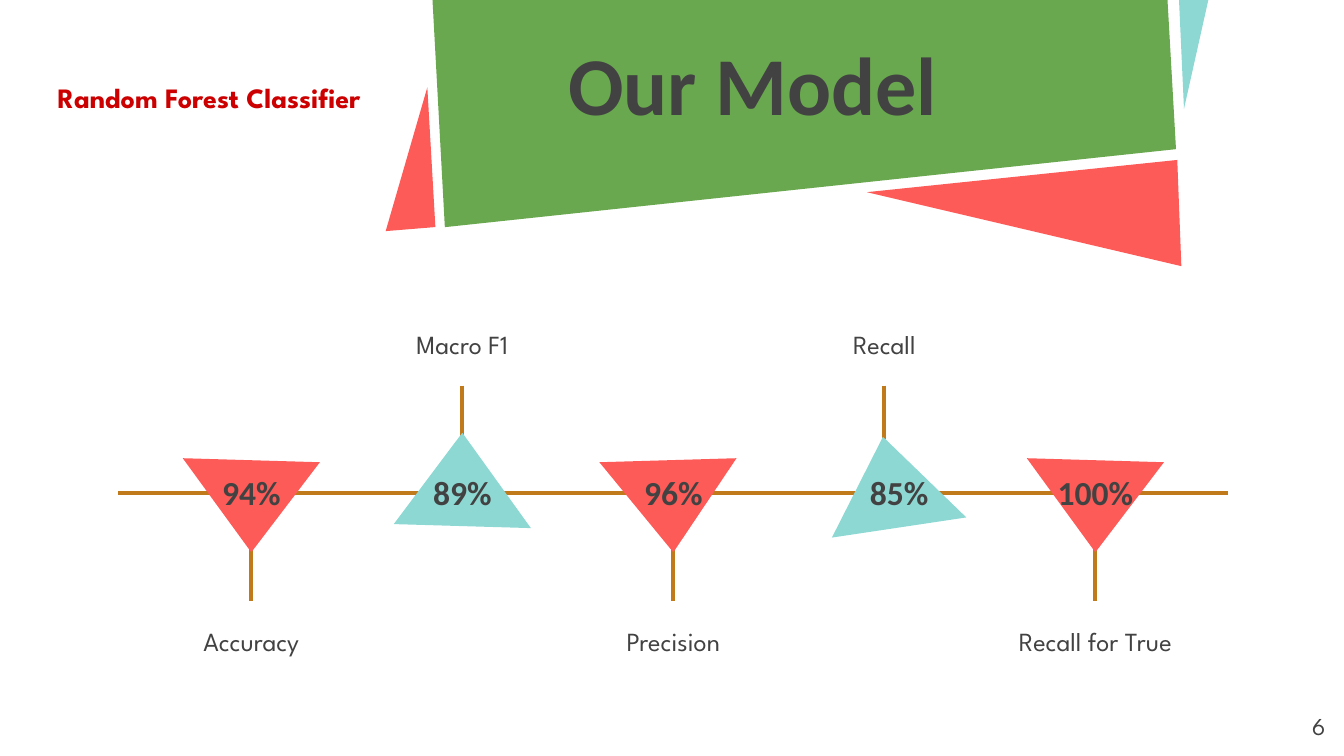
"""Build the 'Our Model' slide: a tilted title banner above a timeline of classifier scores."""
from lxml import etree
from pptx import Presentation
from pptx.dml.color import RGBColor
from pptx.enum.shapes import MSO_CONNECTOR as Conn
from pptx.enum.text import MSO_ANCHOR as Anchor, PP_ALIGN as Align
from pptx.oxml.ns import qn
from pptx.util import Inches, Pt

WIDTH = 10
HEIGHT = WIDTH * 9 / 16
GREEN, TEAL, CORAL = "6AA84F", "8DD8D3", "FD5B58"
GOLD, DARK, RED = "C0791B", "424242", "CC0000"
HEAD, BODY = "Calibri", "League Spartan"

BANNER = [
    (GREEN, [(8.68, -0.12), (3.2, -0.33), (3.31, 1.69), (8.75, 1.11)]),
    (TEAL, [(8.81, 0.81), (9, -0.04), (8.77, -0.06)]),
    (CORAL, [(3.18, 0.65), (2.87, 1.72), (3.24, 1.69)]),
    (CORAL, [(8.79, 1.98), (8.76, 1.19), (6.45, 1.43)]),
]

DOWN = [(0.51, 3.44), (0, 4.11), (-0.51, 3.41)]
DOWN_TILTED = [(0.47, 3.41), (0, 4.11), (-0.55, 3.44)]
UP = [(-0.51, 3.9), (0, 3.22), (0.51, 3.93)]
UP_TILTED = [(-0.39, 4), (-0.01, 3.25), (0.61, 3.85)]

# name, score, triangle around the column centre, label above, score shift
METRICS = [
    ("Accuracy", "94%", DOWN, False, 0),
    ("Macro F1", "89%", UP, True, 0),
    ("Precision", "96%", DOWN_TILTED, False, 0),
    ("Recall", "85%", UP_TILTED, True, 0.11),
    ("Recall for True", "100%", DOWN, False, 0),
]
FIRST, STEP, AXIS = 1.87, 1.57, 3.67
LABEL_W, LABEL_H, SCORE_W, SCORE_H = 1.62, 0.79, 0.87, 0.31


def rgb(value):
    return RGBColor.from_string(value)


def add_text(s, text, x, y, w, h, size=14, font=BODY, color=DARK, bold=False,
             align=Align.LEFT, anchor=Anchor.TOP):
    tf = s.shapes.add_textbox(*map(Inches, (x, y, w, h))).text_frame
    tf.word_wrap = True
    tf.vertical_anchor = anchor
    tf.margin_left = tf.margin_right = tf.margin_top = tf.margin_bottom = Inches(0.1)
    p = tf.paragraphs[0]
    p.alignment = align
    r = p.add_run()
    r.text = text
    r.font.size, r.font.name, r.font.bold = Pt(size), font, bold
    r.font.color.rgb = rgb(color)


def add_polygon(s, points, color):
    start, *rest = [(Inches(x), Inches(y)) for x, y in points]
    builder = s.shapes.build_freeform(*start)
    builder.add_line_segments(rest, close=True)
    sp = builder.convert_to_shape()
    sp.shadow.inherit = False
    sp.fill.solid()
    sp.fill.fore_color.rgb = rgb(color)
    sp.line.fill.background()


def add_line(s, x1, y1, x2, y2):
    line = s.shapes.add_connector(Conn.STRAIGHT, *map(Inches, (x1, y1, x2, y2)))
    line.line.color.rgb = rgb(GOLD)
    line.line.width = Pt(2.25)
    etree.SubElement(line._element.spPr, qn("a:effectLst"))


def main():
    prs = Presentation()
    prs.slide_width, prs.slide_height = Inches(WIDTH), Inches(HEIGHT)
    s = prs.slides.add_slide(prs.slide_layouts[6])

    for color, points in BANNER:
        add_polygon(s, points, color)
    add_text(s, "Random Forest Classifier", 0.33, 0.5, 3.12, 1.77,
             size=15, color=RED, bold=True)
    add_text(s, "Our Model", 4.13, 0.15, 3.52, 1.26, size=44, font=HEAD, bold=True)

    add_line(s, 0.88, AXIS, 9.14, AXIS)
    for i, (name, score, triangle, above, shift) in enumerate(METRICS):
        cx = FIRST + i * STEP
        stem, label_y = (2.87, 1.99) if above else (4.07, 4.55)
        add_line(s, cx, stem, cx, stem + 0.4)
        add_polygon(s, [(cx + dx, y) for dx, y in triangle], TEAL if above else CORAL)
        add_text(s, name, cx - LABEL_W / 2, label_y, LABEL_W, LABEL_H, align=Align.CENTER,
                 anchor=Anchor.BOTTOM if above else Anchor.TOP)
        add_text(s, score, cx + shift - SCORE_W / 2, 3.51, SCORE_W, SCORE_H, size=18,
                 font=HEAD, bold=True, align=Align.CENTER, anchor=Anchor.MIDDLE)

    add_text(s, "6", 9.36, 5.19, 0.6, 0.43, size=13, align=Align.RIGHT)
    prs.save("out.pptx")


if __name__ == "__main__":
    main()
